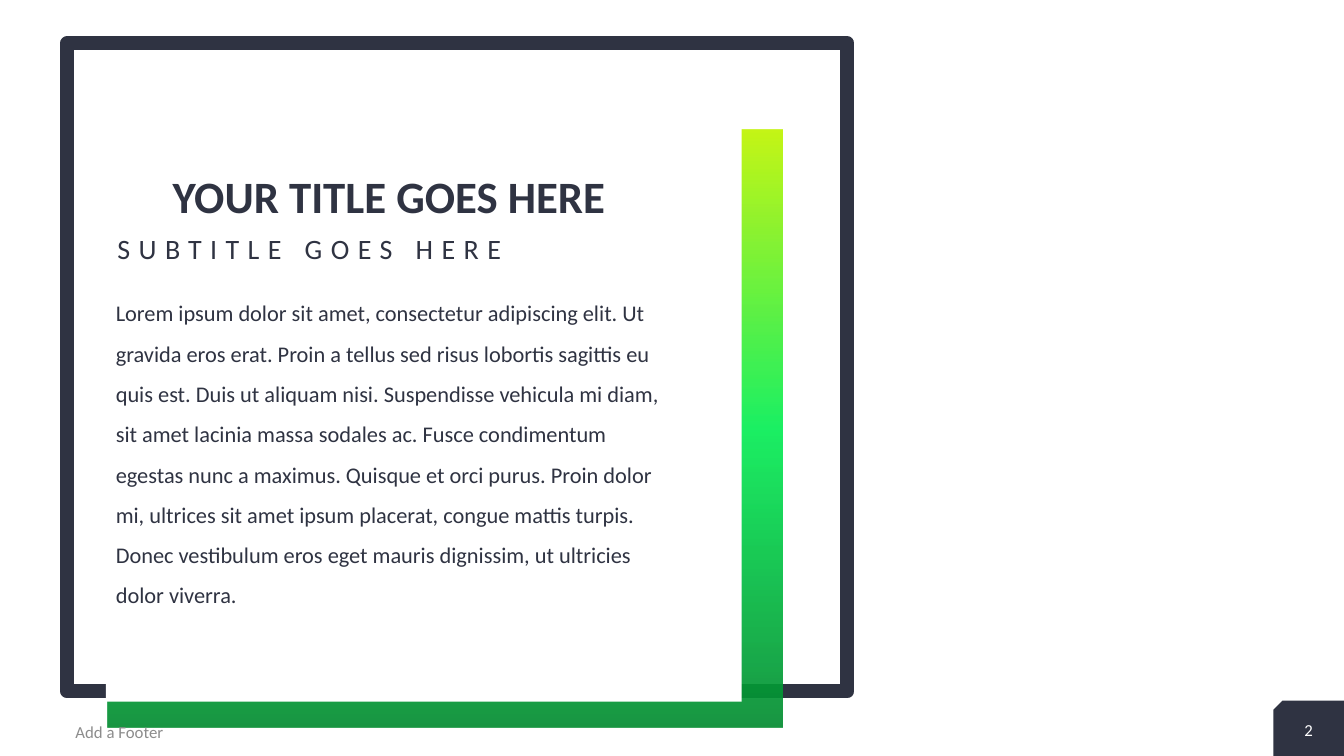
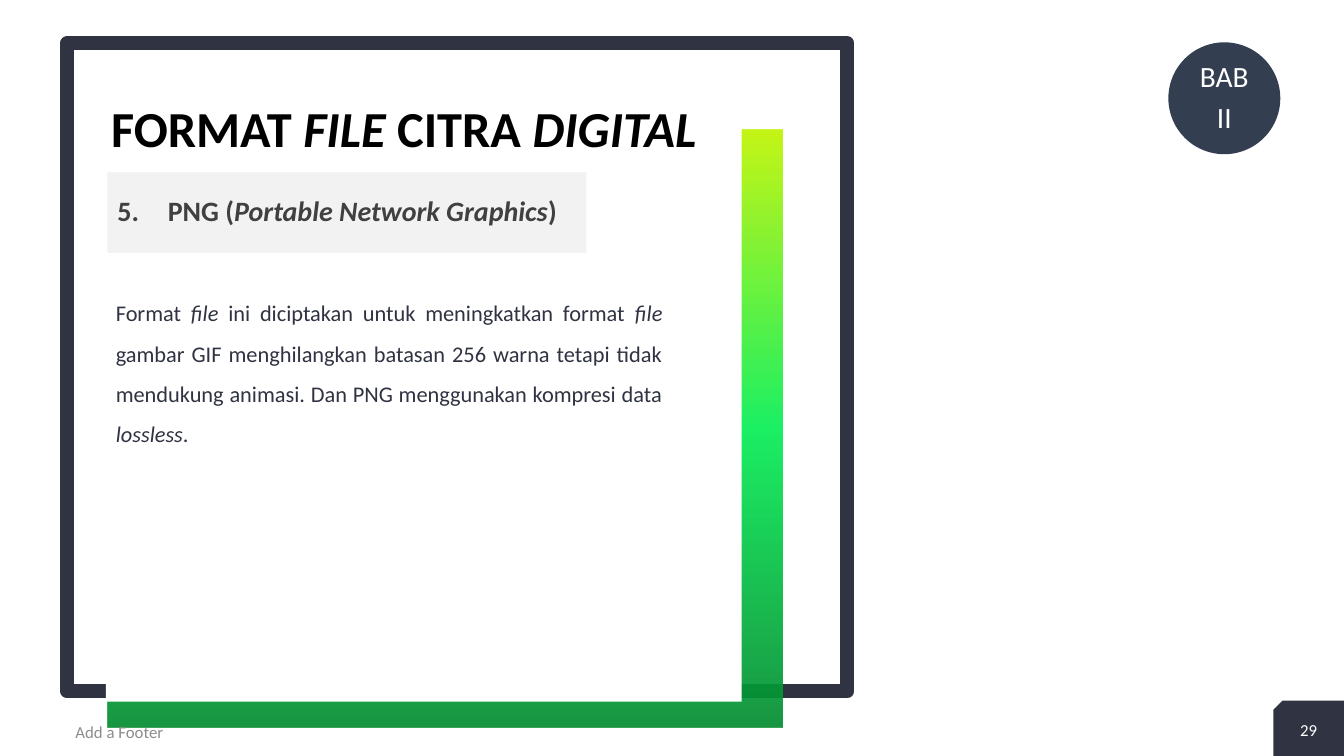
import lxml.etree
import pptx
import pptx.dml.color
import pptx.enum.shapes
import pptx.enum.text
import pptx.oxml
import pptx.oxml.ns
import pptx.util

Pt = pptx.util.Pt
SHAPE = pptx.enum.shapes.MSO_SHAPE
ALIGN = pptx.enum.text.PP_ALIGN
ANCHOR = pptx.enum.text.MSO_ANCHOR
qn = pptx.oxml.ns.qn

COLORS = {
    "ink": "2F3342", "white": "FFFFFF", "black": "000000", "footer": "8C8C8C",
    "heading": "404040", "heading_bg": "F2F2F2", "badge": "333F50",
    "green_dark": "038B30", "green": "05EE55", "lime": "C0F400",
}
RGB = {k: pptx.dml.color.RGBColor.from_string(v) for k, v in COLORS.items()}

prs = pptx.Presentation()
prs.slide_width = pptx.util.Inches(13.333)
prs.slide_height = pptx.util.Inches(7.5)
# The grid has 100 columns and 100 rows; every box is (column, row, columns, rows).
COL, ROW = prs.slide_width / 100, prs.slide_height / 100

FRAME = (5, 5.73, 58.05, 85.73)
GRADIENT = (8, 17.2, 50.2, 79.07)
PANEL = (7.88, 9.6, 47.3, 83.2)
BODY = (7.88, 37.2, 42.15, 49.47)
FOOTER = (4.88, 94.13, 33.75, 5.33)
TAB = (94.75, 92.67, 5.25, 7.33)
NUMBER = (94.75, 93.47, 5.25, 6)
SUBTITLE = (8, 30.53, 40.65, 5.33)
HEADING = (8, 22.8, 35.63, 10.67)
BADGE = (86.93, 5.6, 8.33, 14.8)

STOPS = "".join(
    f'<a:gs pos="{pos}"><a:srgbClr val="{COLORS[name]}"><a:alpha val="70000"/></a:srgbClr></a:gs>'
    for pos, name in ((0, "green_dark"), (50000, "green"), (100000, "lime")))
GRAD_FILL = (f'<a:gradFill {pptx.oxml.ns.nsdecls("a")} rotWithShape="1"><a:gsLst>{STOPS}</a:gsLst>'
             '<a:lin ang="16200000" scaled="0"/></a:gradFill>')

SLIDES = [
    {"number": "2",
     "title": "YOUR TITLE GOES HERE",
     "title_box": (7.88, 21.6, 42.15, 8.53),
     "title_size": 32, "title_color": "ink", "title_anchor": ANCHOR.BOTTOM,
     "subtitle": "SUBTITLE GOES HERE",
     "body": "Lorem ipsum dolor sit amet, consectetur adipiscing elit. Ut gravida eros erat. "
             "Proin a tellus sed risus lobortis sagittis eu quis est. Duis ut aliquam nisi. "
             "Suspendisse vehicula mi diam, sit amet lacinia massa sodales ac. Fusce condimentum "
             "egestas nunc a maximus. Quisque et orci purus. Proin dolor mi, ultrices sit amet "
             "ipsum placerat, congue mattis turpis. Donec vestibulum eros eget mauris dignissim, "
             "ut ultricies dolor viverra.",
     "body_align": ALIGN.LEFT},
    {"number": "29",
     "title": "FORMAT *FILE *CITRA *DIGITAL*",
     "title_box": (6.83, 13.07, 46.43, 8.4),
     "title_size": 36, "title_color": "black", "title_anchor": ANCHOR.TOP,
     "heading": "PNG (*Portable Network Graphics*)",
     "badge": "BAB\nII",
     "body": "Format *file* ini diciptakan untuk meningkatkan format *file *gambar GIF "
             "menghilangkan batasan 256 warna tetapi tidak mendukung animasi. Dan PNG "
             "menggunakan kompresi data *lossless*.",
     "body_align": ALIGN.JUSTIFY},
]


def add(s, box, kind=None, fill=None):
    """Add a preset shape, or a text box when kind is None, on the grid."""
    x, y, w, h = box
    place = [int(v) for v in (x * COL, y * ROW, w * COL, h * ROW)]
    if kind is None:
        return s.shapes.add_textbox(*place)
    sp = s.shapes.add_shape(kind, *place)
    sp.shadow.inherit = False
    sp.line.fill.background()
    if fill:
        sp.fill.solid()
        sp.fill.fore_color.rgb = RGB[fill]
    else:
        sp.fill.background()
    return sp


def write(sp, text, color, size, anchor=ANCHOR.MIDDLE, bold=False, **para):
    """Write one paragraph a line; text between asterisks is italic."""
    tf = sp.text_frame
    for k, v in {"word_wrap": True, "auto_size": pptx.enum.text.MSO_AUTO_SIZE.NONE,
                 "vertical_anchor": anchor}.items():
        setattr(tf, k, v)
    for i, line in enumerate(text.split("\n")):
        p = tf.add_paragraph() if i else tf.paragraphs[0]
        for k, v in ({"alignment": ALIGN.LEFT, "space_before": Pt(0)} | para).items():
            setattr(p, k, v)
        for j, part in enumerate(line.split("*")):
            if part:
                r = p.add_run()
                r.text = part
                r.font.color.rgb = RGB[color]
                for k, v in {"name": "Calibri", "size": Pt(size), "bold": bold,
                             "italic": j % 2 == 1}.items():
                    setattr(r.font, k, v)
    return tf


for data in SLIDES:
    s = prs.slides.add_slide(prs.slide_layouts[5])

    frame = add(s, FRAME, SHAPE.RECTANGLE)
    frame.line.color.rgb = RGB["ink"]
    frame.line.width = Pt(10)
    # Two translucent layers give the depth of the green band.
    for _ in range(2):
        sp = add(s, GRADIENT, SHAPE.RECTANGLE)
        pr = sp._element.spPr
        pr.replace(pr.find(qn("a:noFill")), pptx.oxml.parse_xml(GRAD_FILL))
    add(s, PANEL, SHAPE.RECTANGLE, "white")

    title = s.shapes.title
    x, y, w, h = data["title_box"]
    for k, v in {"left": x * COL, "top": y * ROW, "width": w * COL, "height": h * ROW}.items():
        setattr(title, k, int(v))
    write(title, data["title"], data["title_color"], data["title_size"], data["title_anchor"],
          bold=True, alignment=ALIGN.CENTER, line_spacing=0.9)
    s.shapes._spTree.append(title._element)  # in front of the panel

    if "subtitle" in data:
        tf = write(add(s, SUBTITLE), data["subtitle"], "ink", 20, ANCHOR.TOP, line_spacing=0.9)
        tf.paragraphs[0].runs[0].font._element.set("spc", "600")

    if "heading" in data:
        sp = add(s, HEADING, SHAPE.RECTANGLE, "heading_bg")
        tf = write(sp, data["heading"], "heading", 20, bold=True,
                   alignment=ALIGN.JUSTIFY, line_spacing=0.9)
        pPr = tf.paragraphs[0]._p.get_or_add_pPr()
        indent = pptx.util.Inches(0.5)
        pPr.set("marL", str(indent))
        pPr.set("indent", str(-indent))
        lxml.etree.SubElement(pPr, qn("a:buFont"), typeface="+mj-lt")
        lxml.etree.SubElement(pPr, qn("a:buAutoNum"), type="arabicPeriod", startAt="5")

    write(add(s, BODY), data["body"], "ink", 16, ANCHOR.TOP,
          alignment=data["body_align"], line_spacing=1.5)

    if "badge" in data:
        tf = write(add(s, BADGE, SHAPE.OVAL, "badge"), data["badge"], "white", 21,
                   alignment=ALIGN.CENTER, line_spacing=0.9, space_after=Pt(7))
        for side in ("left", "top", "right", "bottom"):
            setattr(tf, f"margin_{side}", 0)

    write(add(s, FOOTER), "Add a Footer", "footer", 12)
    tab = add(s, TAB, SHAPE.SNIP_1_RECTANGLE, "ink")
    tab._element.spPr.xfrm.set("flipH", "1")
    write(add(s, NUMBER), data["number"], "white", 12, alignment=ALIGN.CENTER)

prs.save("out.pptx")
